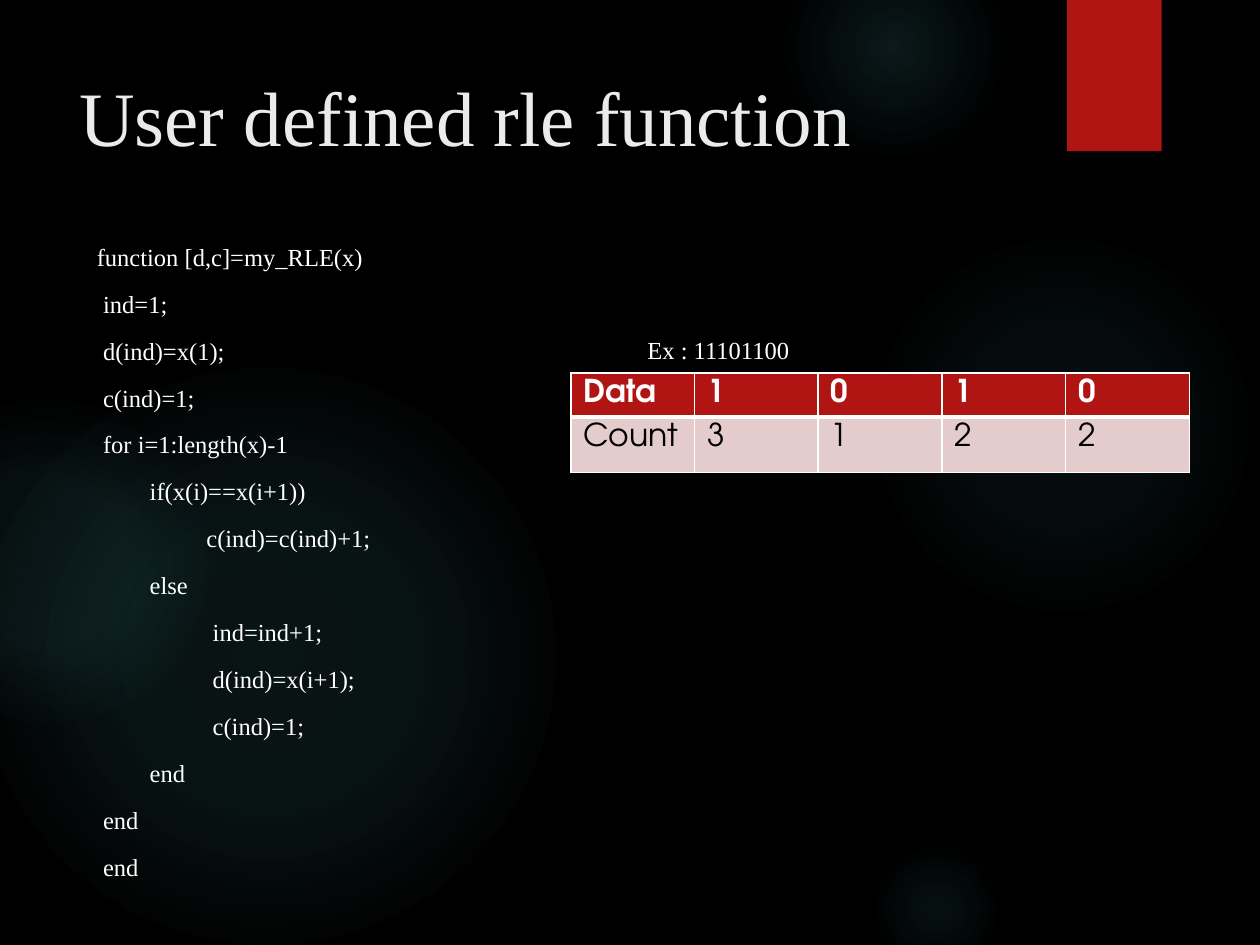
from lxml import etree
from pptx import Presentation
from pptx.dml.color import RGBColor
from pptx.enum.shapes import MSO_SHAPE as Shape
from pptx.oxml import parse_xml
from pptx.oxml.ns import nsdecls, qn
from pptx.util import Inches, Pt

COLORS = {
    "background": "000000",
    "glow": "50B9C1",
    "accent": "B01513",
    "title": "EBEBEB",
    "light": "FFFFFF",
    "dark": "000000",
    "count_row": "E4CCCC",
}
SERIF = "Times New Roman"
SANS = "TeX Gyre Adventor"

# left, top, diameter, then (position %, opacity %) from the centre outwards
GLOWS = [
    (6.89, 1.83, 3.08, [(0, 7), (36, 6), (69, 0)]),
    (6.22, -0.5, 1.75, [(0, 14), (36, 7), (73, 0)]),
    (6.89, 6.67, 1.08, [(0, 9), (36, 5), (66, 0)]),
    (-0.17, 2.92, 4.58, [(0, 11), (36, 10), (75, 0)]),
    (-0.92, 3.17, 2.58, [(0, 8), (36, 8), (72, 0)]),
]

# indent in inches, line of code
CODE = [
    (0, "function [d,c]=my_RLE(x)"),
    (0.05, "ind=1;"),
    (0.05, "d(ind)=x(1);"),
    (0.05, "c(ind)=1;"),
    (0.05, "for i=1:length(x)-1"),
    (0.42, "if(x(i)==x(i+1))"),
    (0.87, "c(ind)=c(ind)+1;"),
    (0.42, "else"),
    (0.92, "ind=ind+1;"),
    (0.92, "d(ind)=x(i+1);"),
    (0.92, "c(ind)=1;"),
    (0.42, "end"),
    (0.05, "end"),
    (0.05, "end"),
]

RUNS = [["Data", "1", "0", "1", "0"], ["Count", "3", "1", "2", "2"]]


def rgb(name):
    return RGBColor.from_string(COLORS[name])


def style(paragraph, font, size, color, bold=False):
    for run in paragraph.runs:
        run.font.name = font
        run.font.size = Pt(size)
        run.font.bold = bold
        run.font.color.rgb = rgb(color)


def add_block(slide, kind, left, top, width, height):
    block = slide.shapes.add_shape(
        kind, Inches(left), Inches(top), Inches(width), Inches(height))
    block.shadow.inherit = False
    block.line.fill.background()
    block.fill.solid()
    block.fill.fore_color.rgb = rgb("accent")
    return block


def add_glow(slide, left, top, diameter, stops):
    glow = add_block(slide, Shape.OVAL, left, top, diameter, diameter)
    stop_xml = "".join(
        f'<a:gs pos="{pos * 1000}"><a:srgbClr val="{COLORS["glow"]}">'
        f'<a:alpha val="{alpha * 1000}"/></a:srgbClr></a:gs>'
        for pos, alpha in stops)
    gradient = parse_xml(
        f'<a:gradFill {nsdecls("a")} rotWithShape="1"><a:gsLst>{stop_xml}</a:gsLst>'
        '<a:path path="circle"><a:fillToRect l="50000" t="50000" r="50000" b="50000"/>'
        '</a:path></a:gradFill>')
    properties = glow._element.spPr
    properties.replace(properties.find(qn("a:solidFill")), gradient)


def add_text(slide, left, top, width, height, lines, size, color, spacing=0):
    box = slide.shapes.add_textbox(
        Inches(left), Inches(top), Inches(width), Inches(height))
    frame = box.text_frame
    frame.word_wrap = True
    frame.text = "\n".join(text for _, text in lines)
    for paragraph, (indent, _) in zip(frame.paragraphs, lines):
        paragraph.space_before = Pt(spacing)
        paragraph._p.get_or_add_pPr().set("marL", str(Inches(indent)))
        style(paragraph, SERIF, size, color)


def set_borders(cell, bottom):
    properties = cell._tc.get_or_add_tcPr()
    widths = {"lnL": 1, "lnR": 1, "lnT": 1, "lnB": bottom}
    for position, (side, width) in enumerate(widths.items()):
        border = etree.Element(qn(f"a:{side}"), w=str(Pt(width)))
        fill = etree.SubElement(border, qn("a:solidFill"))
        etree.SubElement(fill, qn("a:srgbClr"), val=COLORS["light"])
        properties.insert(position, border)


def add_run_table(slide):
    table = slide.shapes.add_table(
        len(RUNS), len(RUNS[0]), Inches(4.53), Inches(2.96),
        Inches(4.91), Inches(0.79)).table
    for row, height in zip(table.rows, (0.35, 0.44)):
        row.height = Inches(height)
    for r, values in enumerate(RUNS):
        header = r == 0
        for c, value in enumerate(values):
            cell = table.cell(r, c)
            cell.text = value
            cell.margin_top = Inches(0.05)
            cell.margin_bottom = 0
            cell.fill.solid()
            cell.fill.fore_color.rgb = rgb("accent" if header else "count_row")
            style(cell.text_frame.paragraphs[0], SANS, 18,
                  "light" if header else "dark", bold=header)
            set_borders(cell, bottom=3 if header else 1)


def main():
    deck = Presentation()
    deck.slide_width, deck.slide_height = Inches(10), Inches(7.5)
    slide = deck.slides.add_slide(deck.slide_layouts[6])

    # Backdrop
    slide.background.fill.solid()
    slide.background.fill.fore_color.rgb = rgb("background")
    for glow in GLOWS:
        add_glow(slide, *glow)
    add_block(slide, Shape.RECTANGLE, 8.47, 0, 0.75, 1.2)

    # Title
    add_text(slide, 0.53, 0.5, 7.72, 1.53,
             [(0, "User defined rle function")], 44, "title")

    # Code listing and worked example
    add_text(slide, 0.67, 1.87, 9.06, 5.43, CODE, 14, "light", spacing=10)
    add_text(slide, 5.04, 2.61, 2, 0.32, [(0, "Ex : 11101100")], 14, "light")
    add_run_table(slide)

    deck.save("out.pptx")


if __name__ == "__main__":
    main()
